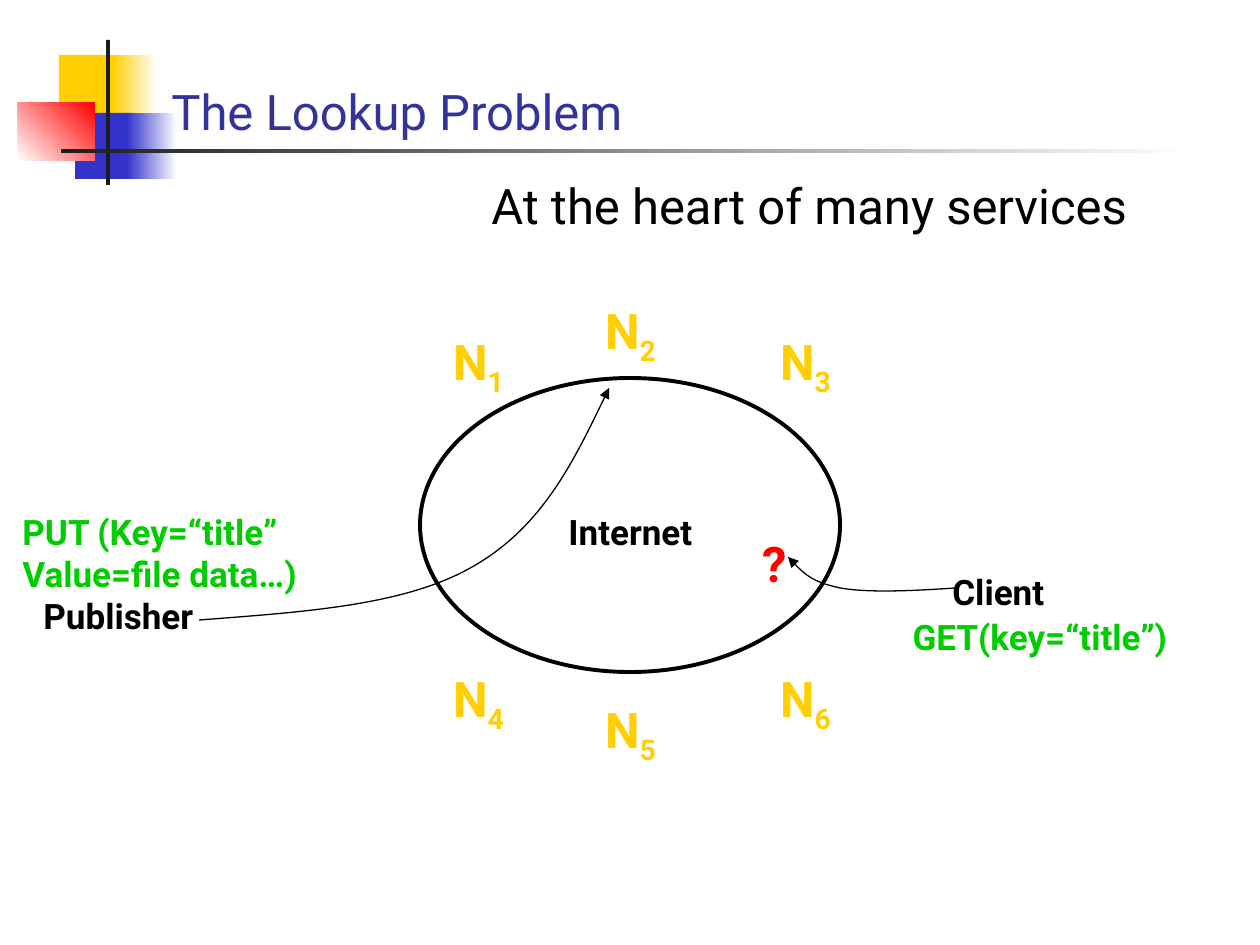
import pptx
import pptx.dml.color
import pptx.enum.shapes
import pptx.enum.text
import pptx.oxml
import pptx.oxml.ns
import pptx.util

SCALE = 914400 / 126
FONT = "Roboto"
COLORS = {
    "white": "FFFFFF", "black": "000000", "bar": "1C1C1C", "yellow": "FFCF01",
    "blue": "3333CC", "red": "FF0000", "title": "333399", "green": "00CC00",
}
LEFT = pptx.enum.text.PP_ALIGN.LEFT
CENTER = pptx.enum.text.PP_ALIGN.CENTER
SHAPES = pptx.enum.shapes.MSO_SHAPE


def px(length):
    return pptx.util.Emu(round(length * SCALE))


def rgb(name):
    return pptx.dml.color.RGBColor.from_string(COLORS[name])


def within(box, left, top, width, height):
    return box[0] + left, box[1] + top, width, height


def add_block(slide, box, colors, angle=0):
    block = slide.shapes.add_shape(SHAPES.RECTANGLE, *map(px, box))
    block.shadow.inherit = False
    block.line.fill.background()
    if len(colors) == 1:
        block.fill.solid()
        block.fill.fore_color.rgb = rgb(colors[0])
    else:
        block.fill.gradient()
        block.fill.gradient_angle = angle
        for stop, color in zip(block.fill.gradient_stops, colors):
            stop.color.rgb = rgb(color)


def add_label(slide, box, text, color, size=20, bold=True, align=LEFT, wrap=False, subscript=""):
    label = slide.shapes.add_textbox(*map(px, box))
    frame = label.text_frame
    frame.text = text
    frame.word_wrap = wrap
    frame.auto_size = pptx.enum.text.MSO_AUTO_SIZE.SHAPE_TO_FIT_TEXT
    if subscript:
        index = frame.paragraphs[0].add_run()
        index.text = subscript
        index._r.get_or_add_rPr().set("baseline", "-25000")
    for paragraph in frame.paragraphs:
        paragraph.alignment = align
        for run in paragraph.runs:
            run.font.name = FONT
            run.font.size = pptx.util.Pt(size)
            run.font.bold = bold
            run.font.color.rgb = rgb(color)
    return frame


def add_curved_arrow(slide, box, points):
    start, *controls = [(px(box[0] + x), px(box[1] + y)) for x, y in points]
    builder = slide.shapes.build_freeform(*start, scale=1.0)
    builder.add_line_segments(controls, close=False)
    arrow = builder.convert_to_shape()
    arrow.shadow.inherit = False
    arrow.fill.background()
    arrow.line.fill.solid()
    arrow.line.fill.fore_color.rgb = rgb("black")
    arrow.line.width = pptx.util.Pt(0.75)
    segments = list(arrow._element.iter(pptx.oxml.ns.qn("a:lnTo")))
    namespace = pptx.oxml.ns.nsdecls("a")
    for first in range(0, len(segments), 3):
        curve = pptx.oxml.parse_xml(f"<a:cubicBezTo {namespace}/>")
        segments[first].addprevious(curve)
        for segment in segments[first:first + 3]:
            curve.append(segment[0])
            segment.getparent().remove(segment)
    arrow.line._get_or_add_ln().append(
        pptx.oxml.parse_xml(f'<a:tailEnd {namespace} type="triangle"/>'))


def add_ornament(slide, box):
    add_block(slide, within(box, 41, 15, 60, 66), ["yellow"])
    add_block(slide, within(box, 94, 15, 45, 66), ["yellow", "white"])
    add_block(slide, within(box, 57, 73, 58, 66), ["blue"])
    add_block(slide, within(box, 109, 73, 50, 66), ["blue", "white"])
    add_block(slide, within(box, 0, 63, 77, 58), ["white", "red"], 45)
    add_block(slide, within(box, 88, 0, 4, 145), ["bar"])
    add_block(slide, within(box, 43, 109, 1134, 4), ["bar", "white"])


def add_heading(slide, box):
    title = add_label(slide, within(box, 0, 0, 1074, 117), "The Lookup Problem", "title",
                      size=28, bold=False, wrap=True)
    title.auto_size = pptx.enum.text.MSO_AUTO_SIZE.NONE
    title.vertical_anchor = pptx.enum.text.MSO_ANCHOR.BOTTOM
    add_label(slide, within(box, 320, 140, 754, 72), "At the heart of many services", "black",
              size=28, bold=False, wrap=True)


def add_network(slide, box):
    ring = slide.shapes.add_shape(SHAPES.OVAL, *map(px, box))
    ring.shadow.inherit = False
    ring.fill.background()
    ring.line.color.rgb = rgb("black")
    ring.line.width = pptx.util.Pt(2.25)
    add_label(slide, within(box, 124, 126, 173, 55), "Internet", "black", align=CENTER)
    columns = [18, 170, 345]
    rows = [[-53, -84, -53], [284, 315, 284]]
    for row, tops in enumerate(rows):
        for column, (left, top) in enumerate(zip(columns, tops)):
            add_label(slide, within(box, left, top, 81, 79), "N", "yellow", size=28,
                      align=CENTER, subscript=str(3 * row + column + 1))
    add_label(slide, within(box, 330, 149, 48, 72), "?", "red", size=28, align=CENTER)


def add_publisher(slide, box):
    add_label(slide, within(box, 21, 200, 190, 55), "Publisher", "black")
    add_label(slide, within(box, 0, 116, 330, 97), "PUT (Key=“title”\nValue=file data…)", "green")
    add_curved_arrow(slide, box, [(189, 232), (292, 224), (394, 218), (462, 179),
                                  (531, 140), (565, 71), (599, 0)])


def add_client(slide, box):
    add_label(slide, within(box, 152, 7, 127, 55), "Client", "black")
    add_label(slide, within(box, 102, 52, 300, 55), "GET(key=“title”)", "green", align=CENTER)
    add_curved_arrow(slide, box, [(168, 31), (124, 34), (80, 36), (52, 31),
                                  (24, 25), (12, 13), (0, 0)])


def main():
    presentation = pptx.Presentation()
    presentation.slide_width = px(1260)
    presentation.slide_height = px(945)
    slide = presentation.slides.add_slide(presentation.slide_layouts[6])
    add_ornament(slide, (18, 40, 1177, 145))
    add_heading(slide, (159, 29, 1074, 212))
    add_network(slide, (420, 378, 420, 294))
    add_publisher(slide, (10, 388, 599, 255))
    add_client(slide, (788, 557, 402, 107))
    presentation.save("out.pptx")


if __name__ == "__main__":
    main()
